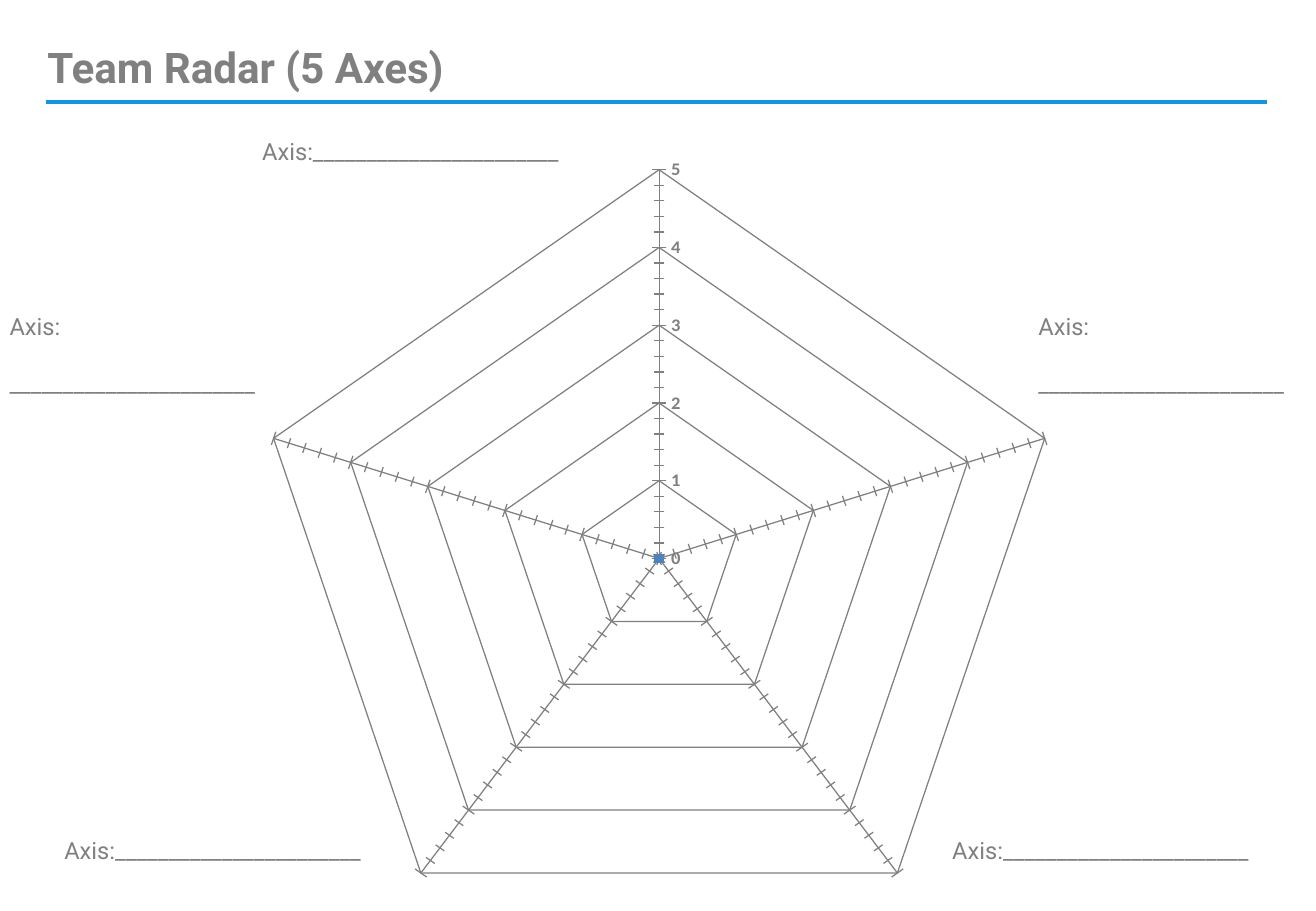
from lxml.etree import SubElement
from pptx import Presentation
from pptx.chart.data import CategoryChartData
from pptx.dml.color import RGBColor
from pptx.enum.chart import XL_CHART_TYPE, XL_MARKER_STYLE, XL_TICK_MARK
from pptx.enum.shapes import MSO_CONNECTOR
from pptx.enum.text import MSO_ANCHOR, MSO_AUTO_SIZE, PP_ALIGN
from pptx.oxml import parse_xml
from pptx.oxml.ns import nsdecls, qn
from pptx.util import Pt

GRAY = "808080"
BLUE = "4F81BD"
RULE = "_" * 23


def color(value):
    return RGBColor.from_string(value)


def write(frame, *lines, size=14, bold=False, gap=0, pitch=None):
    for i, line in enumerate(lines):
        para = frame.add_paragraph() if i else frame.paragraphs[0]
        para.alignment = PP_ALIGN.LEFT
        para.space_before = Pt(gap if i else 0)
        if pitch:
            para.line_spacing = Pt(pitch)
        run = para.add_run()
        run.text = line
        run.font.name = "Roboto"
        run.font.size = Pt(size)
        run.font.bold = bold
        run.font.color.rgb = color(GRAY)


def add_title(slide, text):
    title = slide.shapes.title
    title.left, title.top = Pt(20.9), Pt(5.8)
    title.width, title.height = Pt(553.7), Pt(69.8)
    title.text_frame.vertical_anchor = MSO_ANCHOR.MIDDLE
    title.text_frame.auto_size = MSO_AUTO_SIZE.NONE
    write(title.text_frame, text, size=25, bold=True, pitch=27.3)


def add_rule(slide, left, right, top):
    rule = slide.shapes.add_connector(
        MSO_CONNECTOR.STRAIGHT, Pt(left), Pt(top), Pt(right), Pt(top))
    rule.line.color.rgb = color("1396DE")
    rule.line.width = Pt(2)
    SubElement(rule._element.spPr, qn("a:effectLst"))


def add_label(slide, left, top, width, height, *lines, fill=None):
    box = slide.shapes.add_textbox(Pt(left), Pt(top), Pt(width), Pt(height))
    if fill:
        box.fill.solid()
        box.fill.fore_color.rgb = color(fill)
    box.text_frame.word_wrap = False
    box.text_frame.auto_size = MSO_AUTO_SIZE.SHAPE_TO_FIT_TEXT
    write(box.text_frame, *lines, gap=16.8)


def draw_line(form):
    form.line.color.rgb = color(GRAY)
    form.line.width = Pt(0.75)


def set_plot(chart, **place):
    area = chart._chartSpace.chart.plotArea
    for old in area.findall(qn("c:layout")):
        area.remove(old)
    parts = "".join(f'<c:{key} val="{val}"/>' for key, val in place.items())
    area.insert(0, parse_xml(
        f'<c:layout {nsdecls("c")}><c:manualLayout>'
        '<c:layoutTarget val="inner"/><c:xMode val="edge"/>'
        f'<c:yMode val="edge"/>{parts}</c:manualLayout></c:layout>'))
    chart._chartSpace.chart.addnext(parse_xml(
        f'<c:spPr {nsdecls("c", "a")}><a:noFill/>'
        '<a:ln><a:noFill/></a:ln></c:spPr>'))


def add_radar(slide):
    data = CategoryChartData()
    data.categories = [" "] * 5
    data.add_series("Series 1", [0] * 5)
    chart = slide.shapes.add_chart(
        XL_CHART_TYPE.RADAR_MARKERS, Pt(-26.6), Pt(49), Pt(780), Pt(540),
        data).chart
    chart.has_legend = False
    chart.has_title = False
    chart.font.name = "Calibri"
    chart.font.size = Pt(18)
    chart.font.color.rgb = color("000000")
    set_plot(chart, x=0.203, y=0.057, w=0.664, h=0.89)

    spokes = chart.category_axis
    spokes.has_major_gridlines = True
    spokes.major_tick_mark = XL_TICK_MARK.OUTSIDE
    draw_line(spokes.major_gridlines.format)
    draw_line(spokes.format)

    scale = chart.value_axis
    scale.minimum_scale, scale.maximum_scale = 0, 5
    scale.major_unit, scale.minor_unit = 1, 0.2
    scale.major_tick_mark = scale.minor_tick_mark = XL_TICK_MARK.CROSS
    scale.has_major_gridlines = True
    draw_line(scale.major_gridlines.format)
    draw_line(scale.format)
    font = scale.tick_labels.font
    font.name, font.size, font.bold = "Calibri", Pt(11), True
    font.color.rgb = color(GRAY)

    series = chart.plots[0].series[0]
    series.smooth = False
    series.format.line.color.rgb = color(BLUE)
    series.marker.style = XL_MARKER_STYLE.SQUARE
    series.marker.size = 5
    series.marker.format.fill.solid()
    series.marker.format.fill.fore_color.rgb = color(BLUE)
    series.marker.format.line.color.rgb = color(BLUE)


def main():
    deck = Presentation()
    deck.slide_width, deck.slide_height = Pt(780), Pt(540)
    slide = deck.slides.add_slide(deck.slide_layouts[5])
    add_rule(slide, 27.4, 751, 60.5)
    add_radar(slide)
    add_title(slide, "Team Radar (5 Axes)")
    add_label(slide, 148.3, 77.8, 207.4, 24.5, "Axis:" + RULE)
    for left in (-1.4, 608.4):
        add_label(slide, left, 181.4, 177.8, 58.3, "Axis:", RULE)
    for left in (31, 557.3):
        add_label(slide, left, 491.8, 207.4, 24.5, "Axis:" + RULE,
                  fill="FFFFFF")
    deck.save("out.pptx")


if __name__ == "__main__":
    main()
